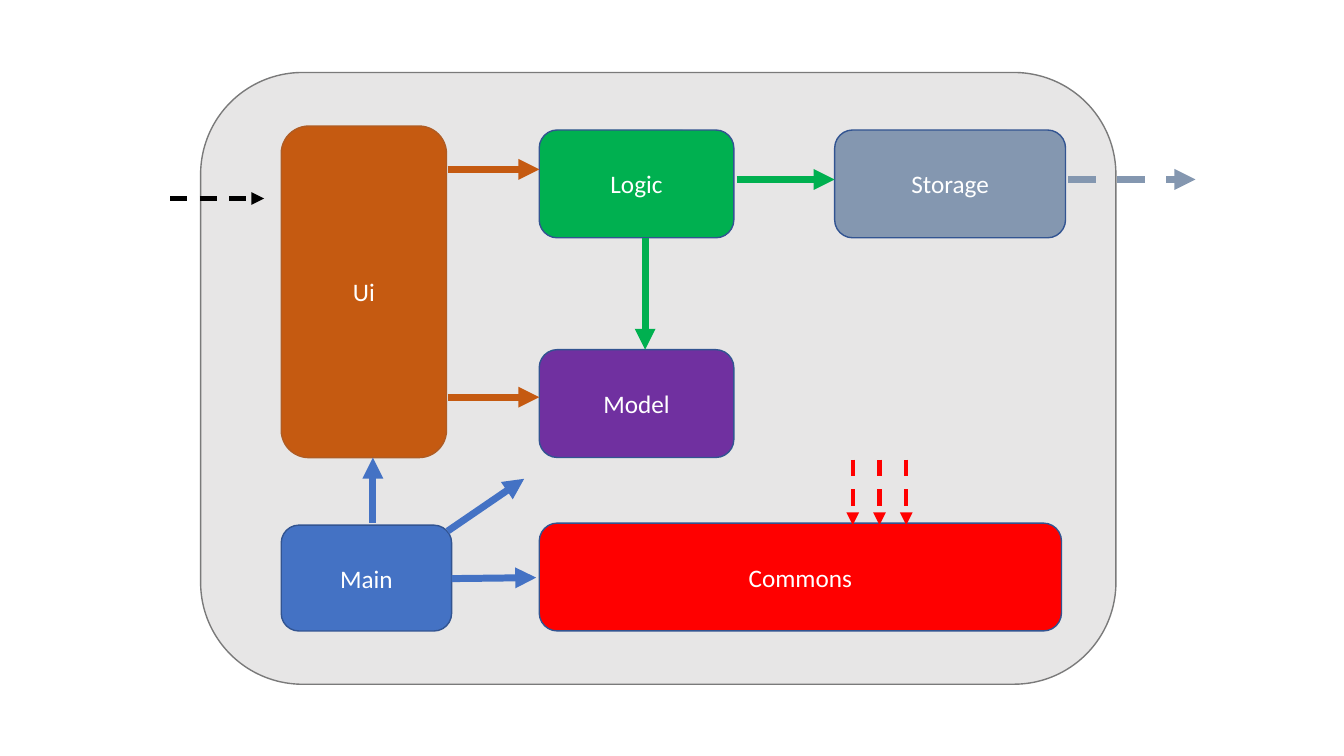
from pptx import Presentation
from pptx.dml.color import RGBColor
from pptx.enum.dml import MSO_LINE
from pptx.enum.shapes import MSO_CONNECTOR, MSO_SHAPE
from pptx.enum.text import MSO_ANCHOR, PP_ALIGN
from pptx.oxml.ns import qn
from pptx.util import Pt
from lxml.etree import SubElement

WHITE = RGBColor(0xFF, 0xFF, 0xFF)
BLACK = RGBColor(0x00, 0x00, 0x00)
PALE = RGBColor(0xE7, 0xE6, 0xE6)
GREY = RGBColor(0x7A, 0x7A, 0x7A)
NAVY = RGBColor(0x32, 0x54, 0x91)
BLUE = RGBColor(0x44, 0x72, 0xC4)
RUST = RGBColor(0xC5, 0x5A, 0x11)
BROWN = RGBColor(0xAF, 0x5C, 0x24)
GREEN = RGBColor(0x00, 0xB0, 0x50)
PURPLE = RGBColor(0x70, 0x30, 0xA0)
STEEL = RGBColor(0x84, 0x97, 0xB0)
RED = RGBColor(0xFF, 0x00, 0x00)

LEFT, MID, RIGHT = 200.9, 385.2, 596.2
TOP, HIGH, WIDE = 92.9, 77, 139


def write(shape, text, size=18, font="Calibri", color=WHITE):
    frame = shape.text_frame
    frame.word_wrap = True
    frame.vertical_anchor = MSO_ANCHOR.MIDDLE
    para = frame.paragraphs[0]
    para.alignment = PP_ALIGN.CENTER
    run = para.add_run()
    run.text = text
    run.font.size = Pt(size)
    run.font.name = font
    run.font.color.rgb = color


def add_box(slide, area, fill, edge=NAVY, text=None):
    box = slide.shapes.add_shape(
        MSO_SHAPE.ROUNDED_RECTANGLE, *[Pt(n) for n in area])
    box.shadow.inherit = False
    box.fill.solid()
    box.fill.fore_color.rgb = fill
    box.line.color.rgb = edge
    box.line.width = Pt(1)
    if text:
        write(box, text)


def add_arrow(slide, ends, color, width=5, dash=False):
    arrow = slide.shapes.add_connector(
        MSO_CONNECTOR.STRAIGHT, *[Pt(n) for n in ends])
    line = arrow.line
    line.color.rgb = color
    line.width = Pt(width)
    if dash:
        line.dash_style = MSO_LINE.DASH
    props = arrow._element.spPr
    SubElement(props.find(qn("a:ln")), qn("a:tailEnd"), type="triangle")
    SubElement(props, qn("a:effectLst"))


def main():
    deck = Presentation()
    deck.slide_width, deck.slide_height = Pt(960), Pt(540)
    slide = deck.slides.add_slide(deck.slide_layouts[6])

    add_box(slide, (143.3, 51.8, 653.8, 437), PALE, GREY)
    add_box(slide, (LEFT, 375.1, 121.7, 75.6), BLUE, text="Main")
    add_box(slide, (LEFT, 90, 118.1, 236.9), RUST, BROWN, "Ui")
    add_box(slide, (MID, TOP, WIDE, HIGH), GREEN, text="Logic")
    add_box(slide, (MID, 249.8, WIDE, HIGH), PURPLE, text="Model")
    add_box(slide, (RIGHT, TOP, 164.9, HIGH), STEEL, text="Storage")
    add_box(slide, (MID, 373.7, 373, HIGH), RED, text="Commons")

    add_arrow(slide, (121.7, 141.8, 188.6, 141.8), BLACK, 3, True)
    for y in (121, 283.7):
        add_arrow(slide, (319.7, y, MID, y), RUST)
    add_arrow(slide, (460.8, TOP + HIGH, 460.8, 249.8), GREEN)
    add_arrow(slide, (526.3, 128.2, RIGHT, 128.2), GREEN)
    add_arrow(slide, (266.4, 373.7, 266.4, 326.9), BLUE)
    add_arrow(slide, (319.7, 379.4, 374.4, 342), BLUE)
    add_arrow(slide, (322.6, 413.3, 383, 412.6), BLUE)
    for step in range(3):
        x = 609.1 + 19.1 * step
        add_arrow(slide, (x, 328.3, x, 375.1), RED, 3, True)
    add_arrow(slide, (763.2, 128.2, 853.9, 128.2), STEEL, dash=True)

    deck.save("out.pptx")


main()
